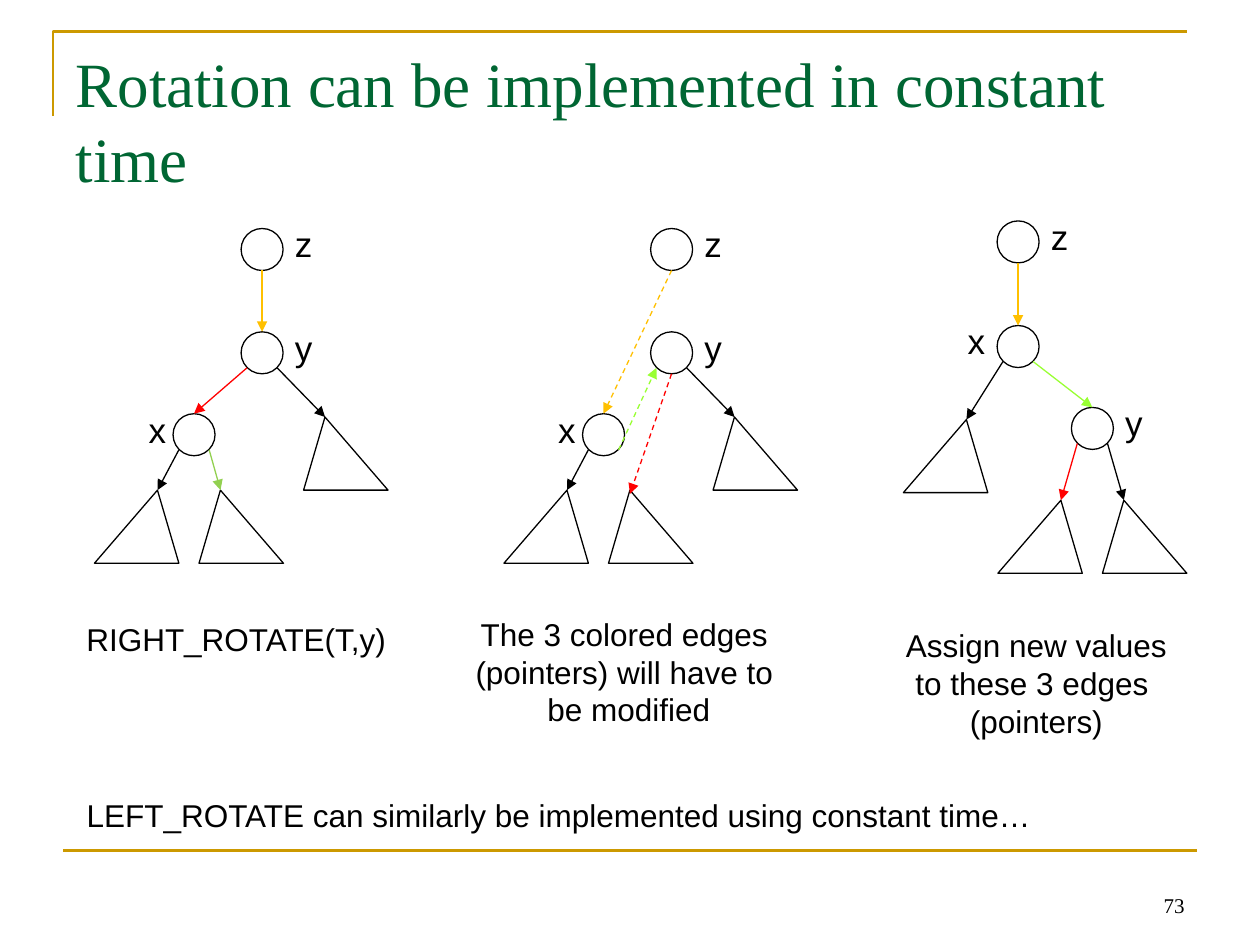
from pptx import Presentation
from pptx.dml.color import RGBColor
from pptx.enum.dml import MSO_LINE
from pptx.enum.shapes import MSO_CONNECTOR, MSO_SHAPE
from pptx.enum.text import MSO_ANCHOR, MSO_AUTO_SIZE, PP_ALIGN
from pptx.oxml.ns import qn
from pptx.util import Inches, Pt
from lxml.etree import SubElement

BLACK = RGBColor(0, 0, 0)
GOLD = RGBColor(0xCC, 0x99, 0x00)
GREEN = RGBColor(0x00, 0x66, 0x33)
AMBER = RGBColor(0xFF, 0xC0, 0x00)
RED = RGBColor(0xFF, 0x01, 0x01)
LEAF = RGBColor(0x92, 0xD0, 0x50)
LIME = RGBColor(0x99, 0xFF, 0x33)

RAD = 1 / 6
DIAG = 0.12
TOP, BOTTOM = (0, -RAD), (0, RAD)
LEFT, RIGHT = (-DIAG, DIAG), (DIAG, DIAG)


def shift(point, delta):
    return point[0] + delta[0], point[1] + delta[1]


def write(frame, text, size=18, font="Arial", color=BLACK, align=PP_ALIGN.CENTER,
          anchor=MSO_ANCHOR.TOP, wrap=False, fit=MSO_AUTO_SIZE.SHAPE_TO_FIT_TEXT):
    frame.text = text
    frame.word_wrap = wrap
    frame.auto_size = fit
    frame.vertical_anchor = anchor
    for para in frame.paragraphs:
        para.alignment = align
        para.font.size = Pt(size)
        para.font.name = font
        para.font.color.rgb = color


def label(shapes, box, text, **style):
    write(shapes.add_textbox(*map(Inches, box)).text_frame, text, **style)


def outline(shape, color=BLACK, width=0.75):
    shape.shadow.inherit = False
    shape.fill.background()
    shape.line.color.rgb = color
    shape.line.width = Pt(width)


def path(shapes, points, close=True, **style):
    spots = [(Inches(x), Inches(y)) for x, y in points]
    form = shapes.build_freeform(*spots[0])
    form.add_line_segments(spots[1:], close=close)
    outline(form.convert_to_shape(), **style)


def line(shapes, start, end, color=BLACK, width=0.75, dash=False, arrow=True):
    link = shapes.add_connector(MSO_CONNECTOR.STRAIGHT, *map(Inches, start + end))
    link.line.color.rgb = color
    link.line.width = Pt(width)
    if dash:
        link.line.dash_style = MSO_LINE.DASH
    if arrow:
        SubElement(link.line._get_or_add_ln(), qn("a:tailEnd"), type="triangle")
    SubElement(link._element.spPr, qn("a:effectLst"))


def node(shapes, mid, name, gap=0.16):
    x, y = mid
    box = (x - RAD, y - RAD, 2 * RAD, 2 * RAD)
    outline(shapes.add_shape(MSO_SHAPE.OVAL, *map(Inches, box)))
    label(shapes, (x + gap, y - 0.26, 0.34, 0.43), name, size=20)


def leaf(shapes, apex, side):
    path(shapes, [apex, shift(apex, (side * 0.5, 0.58)), shift(apex, (-side * 0.17, 0.58))])


def before(shapes, left, moved=False):
    z, y, x = (left + 1.33, 1.98), (left + 1.33, 2.8), (left + 0.79, 3.45)
    one, two, three = (left + 0.5, 3.89), (left + 1, 3.89), (left + 1.83, 3.31)
    node(shapes, z, "z")
    node(shapes, y, "y")
    node(shapes, x, "x", gap=-0.46)
    for apex, side in ((one, -1), (two, 1), (three, 1)):
        leaf(shapes, apex, side)
    line(shapes, shift(x, LEFT), one)
    line(shapes, shift(y, RIGHT), three)
    if moved:
        line(shapes, shift(z, BOTTOM), shift(x, TOP), color=AMBER, dash=True)
        line(shapes, shift(x, RIGHT), shift(y, LEFT), color=LIME, dash=True)
        line(shapes, shift(y, BOTTOM), shift(two, (0, 0.03)), color=RED, dash=True)
    else:
        line(shapes, shift(z, BOTTOM), shift(y, TOP), color=AMBER)
        line(shapes, shift(y, LEFT), shift(x, TOP), color=RED)
        line(shapes, shift(x, RIGHT), two, color=LEAF)


def after(shapes):
    z, x, y = (8.08, 1.92), (8.08, 2.75), (8.67, 3.4)
    one, two, three = (7.67, 3.33), (8.42, 3.97), (8.92, 3.97)
    node(shapes, z, "z")
    node(shapes, x, "x", gap=-0.5)
    node(shapes, y, "y")
    for apex, side in ((one, -1), (two, -1), (three, 1)):
        leaf(shapes, apex, side)
    line(shapes, shift(x, LEFT), one)
    line(shapes, shift(y, RIGHT), three)
    line(shapes, shift(z, BOTTOM), shift(x, TOP), color=AMBER)
    line(shapes, shift(x, RIGHT), shift(y, TOP), color=LIME)
    line(shapes, shift(y, LEFT), two, color=RED)


def main():
    deck = Presentation()
    deck.slide_width, deck.slide_height = Inches(10), Inches(7.5)
    slide = deck.slides.add_slide(deck.slide_layouts[5])
    shapes = slide.shapes

    title = shapes.title
    title.left, title.top = Inches(0.5), Inches(0.3)
    title.width, title.height = Inches(9), Inches(1.25)
    write(title.text_frame, "Rotation can be implemented in constant time", size=36,
          font="Times New Roman", color=GREEN, align=PP_ALIGN.LEFT, wrap=True,
          fit=MSO_AUTO_SIZE.NONE)

    path(shapes, [(0.42, 0.92), (0.42, 0.25), (9.42, 0.25)], close=False,
         color=GOLD, width=1.5)
    line(shapes, (0.5, 6.75), (9.5, 6.75), color=GOLD, width=1.5, arrow=False)
    label(shapes, (7.17, 6.83, 2.33, 0.5), "73", size=12, font="Times New Roman",
          align=PP_ALIGN.RIGHT, anchor=MSO_ANCHOR.BOTTOM, wrap=True,
          fit=MSO_AUTO_SIZE.NONE)

    before(shapes.add_group_shape().shapes, 0.75)
    before(shapes, 4, moved=True)
    after(shapes)

    label(shapes, (0.55, 4.87, 2.65, 0.4), "RIGHT_ROTATE(T,y)")
    label(shapes, (3.64, 4.83, 2.7, 1.01),
          "The 3 colored edges \n(pointers) will have to \nbe modified")
    label(shapes, (7.09, 4.92, 2.27, 1),
          "Assign new values\nto these 3 edges \n(pointers)")
    label(shapes, (0.59, 6.27, 7.73, 0.4),
          "LEFT_ROTATE can similarly be implemented using constant time…",
          align=PP_ALIGN.LEFT)
    deck.save("out.pptx")


if __name__ == "__main__":
    main()
